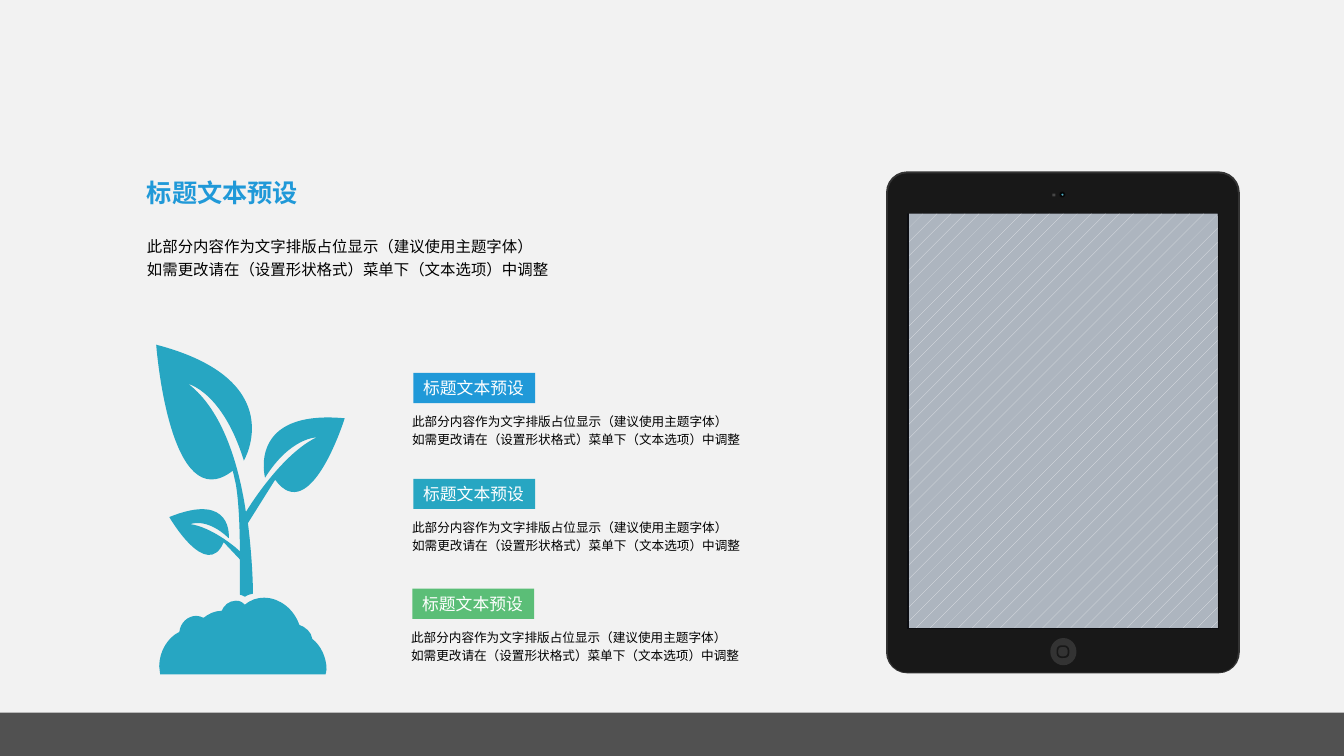
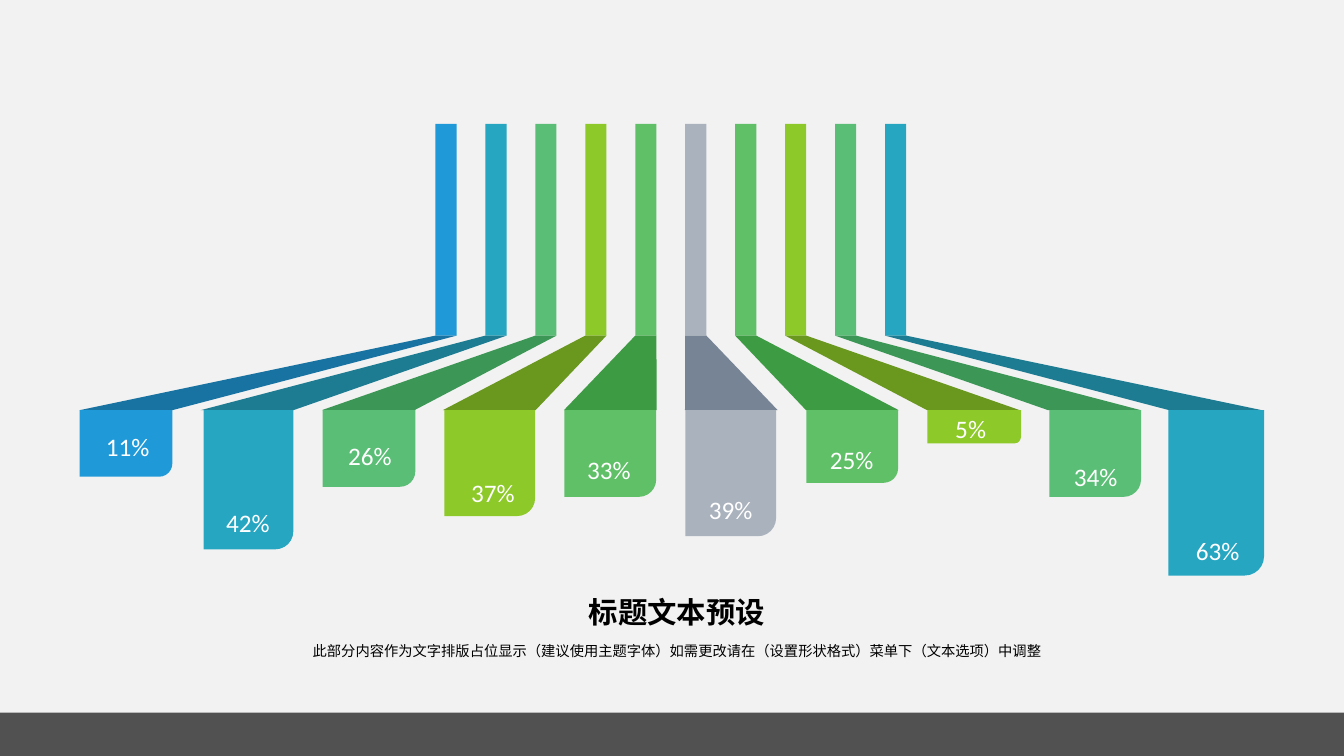
from pptx import Presentation
from pptx.dml.color import RGBColor
from pptx.enum.dml import MSO_PATTERN
from pptx.enum.shapes import MSO_SHAPE
from pptx.enum.text import MSO_ANCHOR, PP_ALIGN
from pptx.oxml.ns import qn
from pptx.util import Inches, Pt
from lxml import etree

RECT, OVAL, DIAMOND = MSO_SHAPE.RECTANGLE, MSO_SHAPE.OVAL, MSO_SHAPE.DIAMOND
ROUNDED, ONE_ROUND = MSO_SHAPE.ROUNDED_RECTANGLE, MSO_SHAPE.ROUND_1_RECTANGLE
LEFT, CENTER = PP_ALIGN.LEFT, PP_ALIGN.CENTER
TOP, MIDDLE = MSO_ANCHOR.TOP, MSO_ANCHOR.MIDDLE
DOTTED = MSO_PATTERN.PERCENT_5

# Shared look
PAGE_WIDTH, PAGE_HEIGHT = 40 / 3, 7.5
FONT = "Calibri"
PAPER, INK, WHITE, BLACK = "F2F2F2", "0D0D0D", "FFFFFF", "000000"
BLUE, TEAL, MINT = "2099D8", "27A6C2", "5BBE77"
LIME, GREEN, GREY = "8DC928", "60C067", "AAB2BD"
SHADES = {BLUE: "1873A2", TEAL: "1D7C92", MINT: "3C9756",
          LIME: "6A971E", GREEN: "3D9B44", GREY: "778496"}
CASE, BEZEL = "333333", "181818"

# Wording
HEADING = "标题文本预设"
BODY = ["此部分内容作为文字排版占位显示（建议使用主题字体）",
        "如需更改请在（设置形状格式）菜单下（文本选项）中调整"]

# Outlines: a start point, then three points for each Bézier curve
MOUND = [
    (1.78, 6.27), (1.79, 6.18), (1.86, 6.11), (1.95, 6.11),
    (1.97, 6.11), (2, 6.12), (2.02, 6.13), (2.07, 6.09), (2.13, 6.06), (2.2, 6.06),
    (2.22, 6.01), (2.27, 5.96), (2.34, 5.96), (2.38, 5.96), (2.4, 5.97), (2.43, 6),
    (2.49, 5.95), (2.55, 5.93), (2.62, 5.93), (2.78, 5.93), (2.92, 6.05), (2.97, 6.2),
    (3.03, 6.22), (3.09, 6.27), (3.1, 6.34), (3.18, 6.4), (3.24, 6.52), (3.24, 6.64),
    (3.24, 6.67), (3.23, 6.68), (3.23, 6.69), (1.59, 6.69), (1.59, 6.69), (1.59, 6.69),
    (1.59, 6.67), (1.58, 6.64), (1.58, 6.61), (1.58, 6.46), (1.67, 6.32), (1.78, 6.27)]
SEEDLING = [
    (2.63, 4.74), (2.88, 4.34), (3.14, 4.34), (3.14, 4.34),
    (2.81, 4.5), (2.5, 4.98), (2.44, 5.08), (2.37, 4.61), (2.21, 4.07), (1.87, 3.81),
    (1.87, 3.81), (2.21, 3.89), (2.42, 4.57), (2.42, 4.57), (2.89, 3.77), (1.55, 3.42),
    (1.55, 3.42), (1.68, 5.16), (2.31, 4.67), (2.33, 4.76), (2.33, 4.76), (2.33, 4.76),
    (2.36, 4.87), (2.38, 5.16), (2.38, 5.47), (2.32, 5.41), (2.09, 5.23), (1.89, 5.2),
    (1.89, 5.2), (2.05, 5.13), (2.27, 5.34), (2.27, 5.34), (2.32, 4.87), (1.68, 5.13),
    (1.68, 5.13), (2.05, 5.77), (2.22, 5.38), (2.38, 5.55), (2.38, 5.55), (2.38, 5.55),
    (2.38, 5.67), (2.38, 5.79), (2.38, 5.9), (2.39, 5.9), (2.41, 5.91), (2.43, 5.92),
    (2.45, 5.9), (2.48, 5.9), (2.51, 5.89), (2.51, 5.78), (2.5, 5.51), (2.46, 5.19),
    (2.73, 4.76), (2.73, 4.76), (2.73, 4.76), (3.08, 5.24), (3.42, 4.15), (3.42, 4.15),
    (2.45, 4.06), (2.63, 4.74), (2.63, 4.74)]

# Percentage, colour, box (left, width, height), figure (left, top, width)
SHARES = [
    ("11%", BLUE, (0.79, 0.92, 0.66), (1.02, 4.2, 0.49)),
    ("42%", TEAL, (2.02, 0.89, 1.38), (2.21, 4.96, 0.5)),
    ("26%", MINT, (3.2, 0.92, 0.76), (3.42, 4.29, 0.5)),
    ("37%", LIME, (4.41, 0.9, 1.05), (4.64, 4.66, 0.5)),
    ("33%", GREEN, (5.6, 0.91, 0.86), (5.79, 4.43, 0.5)),
    ("39%", GREY, (6.8, 0.9, 1.25), (7, 4.83, 0.5)),
    ("25%", GREEN, (8, 0.91, 0.72), (8.2, 4.33, 0.5)),
    ("5%", LIME, (9.2, 0.93, 0.33), (9.45, 4.02, 0.36)),
    ("34%", MINT, (10.41, 0.91, 0.86), (10.62, 4.5, 0.5)),
    ("63%", TEAL, (11.59, 0.95, 1.64), (11.83, 5.24, 0.5))]
STRIPE_TOP, FOLD, BOX_TOP = 1.23, 3.33, 4.07
STRIPE_WIDTH, RIBBON_WIDTH = 0.21, 0.92


def rgb(color):
    return RGBColor.from_string(color)


def paint(shape, color):
    shape.shadow.inherit = False
    shape.fill.solid()
    shape.fill.fore_color.rgb = rgb(color)
    shape.line.fill.background()
    return shape


def add_block(slide, box, color, kind=RECT, radius=None):
    shape = paint(slide.shapes.add_shape(kind, *map(Inches, box)), color)
    if radius is not None:
        shape.adjustments[0] = radius / min(box[2:])
    return shape


def add_outline(slide, points, color):
    start, *rest = [(Inches(x), Inches(y)) for x, y in points]
    builder = slide.shapes.build_freeform(*start, scale=1.0)
    builder.add_line_segments(rest, close=True)
    return paint(builder.convert_to_shape(), color)


def add_curved_outline(slide, points, color):
    """Draw the outline, then join every three segments into one curve."""
    shape = add_outline(slide, points, color)
    segments = list(shape.element.iter(qn("a:lnTo")))
    for first in range(0, len(segments), 3):
        curve = etree.Element(qn("a:cubicBezTo"))
        segments[first].addprevious(curve)
        for segment in segments[first:first + 3]:
            curve.append(segment[0])
            segment.getparent().remove(segment)


def write(shape, lines, size, color, bold=False, align=LEFT, anchor=TOP,
          wrap=True, spacing=None):
    frame = shape.text_frame
    frame.word_wrap = wrap
    frame.vertical_anchor = anchor
    paragraph = frame.paragraphs[0]
    paragraph.alignment = align
    if spacing:
        paragraph.line_spacing = spacing
    for number, line in enumerate(lines):
        if number:
            paragraph.add_line_break()
        run = paragraph.add_run()
        run.text = line
        run.font.name, run.font.size, run.font.bold = FONT, Pt(size), bold
        run.font.color.rgb = rgb(color)
    return frame


def add_text(slide, box, lines, size, color=BLACK, **style):
    return write(slide.shapes.add_textbox(*map(Inches, box)), lines, size, color, **style)


def add_page(deck):
    slide = deck.slides.add_slide(deck.slide_layouts[6])
    slide.background.fill.solid()
    slide.background.fill.fore_color.rgb = rgb(PAPER)
    band = add_block(slide, (0, 7.07, PAGE_WIDTH, 0.44), INK)
    tint = band.element.spPr.find(qn("a:solidFill")).find(qn("a:srgbClr"))
    etree.SubElement(tint, qn("a:alpha")).set("val", "70000")
    return slide


def add_topic(slide, left, top, color):
    label = add_block(slide, (left, top, 1.21, 0.3), color)
    write(label, [HEADING], 12, WHITE, wrap=False)
    add_text(slide, (left - 0.11, top + 0.33, 4.17, 0.53), BODY, 9, spacing=1.2)


def add_tablet(slide):
    # Body
    add_block(slide, (8.79, 1.7, 3.51, 4.98), CASE, ROUNDED, 0.21)
    add_block(slide, (8.81, 1.72, 3.47, 4.95), BEZEL, ROUNDED, 0.19)
    # Camera, its glint and the sensor
    for inset, color in ((0, "0A0A0A"), (0.01, BLACK), (0.02, "2C99B4")):
        side = 0.06 - 2 * inset
        add_block(slide, (10.51 + inset, 1.9 + inset, side, side), color, OVAL)
    add_block(slide, (10.54, 1.93, 0.01, 0.01), WHITE, DIAMOND)
    add_block(slide, (10.44, 1.92, 0.03, 0.03), "464646")
    # Screen
    add_block(slide, (9, 2.12, 3.09, 4.12), "0C0D11")
    add_block(slide, (9.02, 2.14, 3.06, 4.09), WHITE)
    # Home button
    add_block(slide, (10.42, 6.33, 0.26, 0.27), CASE, OVAL)
    ring = add_block(slide, (10.49, 6.41, 0.11, 0.11), CASE, ROUNDED, 0.04)
    ring.fill.background()
    ring.line.color.rgb = rgb(BEZEL)
    ring.line.width = Pt(1.2)
    # Screen pattern
    pattern = add_block(slide, (9.02, 2.12, 3.06, 4.11), WHITE).fill
    pattern.patterned()
    pattern.pattern = DOTTED
    pattern.fore_color.rgb = rgb("E4E6EA")
    pattern.back_color.rgb = rgb("ADB5BF")


def spread(first, last, index):
    return first + index * (last - first) / (len(SHARES) - 1)


def add_stripe(slide, index, color):
    add_block(slide, (spread(4.32, 8.78, index), STRIPE_TOP,
                      STRIPE_WIDTH, FOLD - STRIPE_TOP), color)


def add_ribbon(slide, index, color):
    top, bottom = spread(4.32, 8.78, index), spread(0.79, 11.6, index)
    add_outline(slide, [(bottom, BOX_TOP), (bottom + RIBBON_WIDTH, BOX_TOP),
                        (top + STRIPE_WIDTH, FOLD), (top, FOLD)], SHADES[color])


def add_share_box(slide, color, left, width, height):
    box = add_block(slide, (left, BOX_TOP, width, height), color, ONE_ROUND)
    box.adjustments[0] = 0.2
    box.element.spPr.find(qn("a:xfrm")).set("flipV", "1")


def add_figure(slide, percent, left, top, width):
    figure = add_text(slide, (left, top, width, 0.45), [percent], 18, WHITE,
                      align=CENTER, anchor=MIDDLE, wrap=False)
    figure.margin_left = figure.margin_right = 0
    figure.margin_top = figure.margin_bottom = Inches(0.07)


def build_growth_slide(deck):
    slide = add_page(deck)
    for left, top, color in ((4.1, 3.7, BLUE), (4.1, 4.75, TEAL), (4.09, 5.84, MINT)):
        add_topic(slide, left, top, color)
    for outline in (MOUND, SEEDLING):
        add_curved_outline(slide, outline, TEAL)
    add_tablet(slide)
    add_text(slide, (1.36, 1.71, 5.74, 0.4), [HEADING], 18, BLUE, bold=True)
    add_text(slide, (1.36, 2.27, 5.74, 1.13), BODY, 11, spacing=1.2)


def build_shares_slide(deck):
    slide = add_page(deck)
    for add_part in (add_stripe, add_ribbon):
        for index, share in enumerate(SHARES):
            add_part(slide, index, share[1])
    for _, color, box, _ in SHARES:
        add_share_box(slide, color, *box)
    for percent, _, _, figure in SHARES:
        add_figure(slide, percent, *figure)
    add_text(slide, (0.88, 6.29, 11.67, 0.29), ["".join(BODY)], 10.2,
             align=CENTER, anchor=MIDDLE, spacing=1.2)
    add_text(slide, (5.73, 5.84, 1.97, 0.45), [HEADING], 21,
             bold=True, align=CENTER, wrap=False)


def main():
    deck = Presentation()
    deck.slide_width, deck.slide_height = Inches(PAGE_WIDTH), Inches(PAGE_HEIGHT)
    build_growth_slide(deck)
    build_shares_slide(deck)
    deck.save("out.pptx")


if __name__ == "__main__":
    main()
